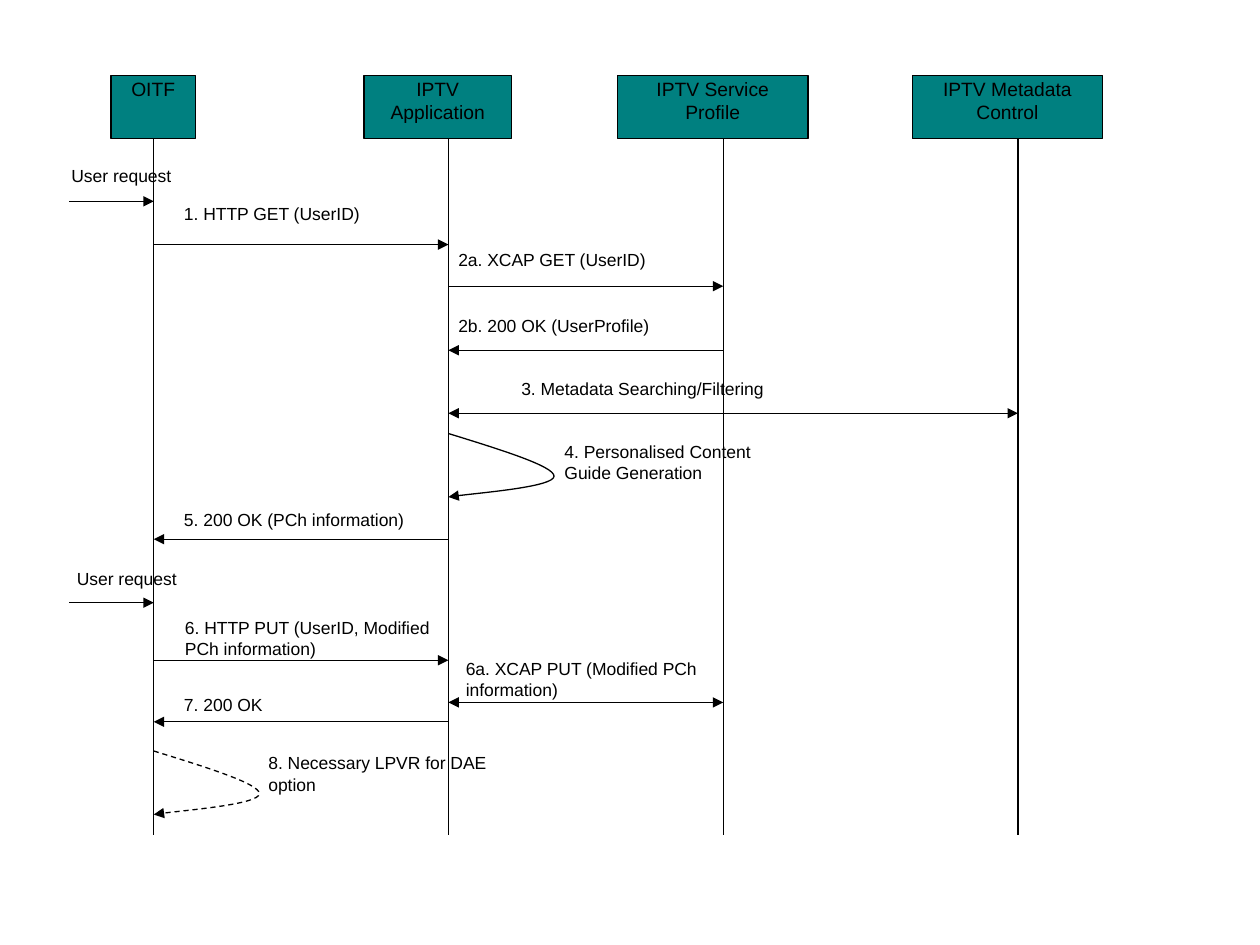
from dataclasses import dataclass

from lxml import etree
from pptx import Presentation
from pptx.dml.color import RGBColor
from pptx.enum.dml import MSO_LINE
from pptx.enum.shapes import MSO_CONNECTOR, MSO_SHAPE
from pptx.enum.text import MSO_ANCHOR, PP_ALIGN
from pptx.oxml.ns import qn
from pptx.util import Cm, Pt

STRAIGHT = MSO_CONNECTOR.STRAIGHT
RECTANGLE = MSO_SHAPE.RECTANGLE
DASH = MSO_LINE.DASH
TOP = MSO_ANCHOR.TOP
LEFT, CENTER = PP_ALIGN.LEFT, PP_ALIGN.CENTER


@dataclass(frozen=True)
class Theme:
    font: str = "Arial"
    ink: RGBColor = RGBColor(0x00, 0x00, 0x00)
    box_fill: RGBColor = RGBColor(0x00, 0x80, 0x80)
    box_size: Pt = Pt(11)
    label_size: Pt = Pt(10)
    line_width: Pt = Pt(0.75)


@dataclass(frozen=True)
class Participant:
    name: str
    left: float
    width: float
    axis: float


@dataclass(frozen=True)
class Label:
    text: str
    left: float
    top: float
    width: float
    height: float = 0.84


@dataclass(frozen=True)
class Message:
    start: float
    end: float
    y: float
    label: Label
    two_way: bool = False


@dataclass(frozen=True)
class SelfCall:
    axis: float
    y: float
    label: Label
    dashed: bool = False


THEME = Theme()

# Lengths in centimetres
BOX_TOP, BOX_HEIGHT, LIFELINE_END = 1.52, 1.27, 16.84
TWO_LINES = 1.27
USER, OITF, APPLICATION, PROFILE, METADATA = 1.4, 3.1, 9.04, 14.58, 20.52
# Two Bezier segments, as offsets from the start of a self call
LOOP = [(1.07, 0.33), (2.13, 0.66), (2.13, 0.86),
        (2.13, 1.07), (0.36, 1.22), (0, 1.28)]

PARTICIPANTS = [
    Participant("OITF", 2.24, 1.7, OITF),
    Participant("IPTV Application", 7.34, 2.97, APPLICATION),
    Participant("IPTV Service Profile", 12.45, 3.84, PROFILE),
    Participant("IPTV Metadata Control", 18.39, 3.84, METADATA),
]

MESSAGES = [
    Message(USER, OITF, 4.06, Label("User request", 1.24, 3.3, 2.97)),
    Message(OITF, APPLICATION, 4.93,
            Label("1. HTTP GET (UserID)", 3.51, 4.06, 5.11)),
    Message(APPLICATION, PROFILE, 5.77,
            Label("2a. XCAP GET (UserID)", 9.04, 5.0, 5.54)),
    Message(PROFILE, APPLICATION, 7.06,
            Label("2b. 200 OK (UserProfile)", 9.04, 6.32, 5.54)),
    Message(APPLICATION, METADATA, 8.33,
            Label("3. Metadata Searching/Filtering", 10.31, 7.59, 7.24), True),
    Message(APPLICATION, OITF, 10.87,
            Label("5. 200 OK (PCh information)", 3.51, 10.24, 5.11)),
    Message(USER, OITF, 12.15, Label("User request", 1.35, 11.43, 2.97)),
    Message(OITF, APPLICATION, 13.31,
            Label("6. HTTP PUT (UserID, Modified PCh information)",
                  3.53, 12.4, 5.94, TWO_LINES)),
    Message(APPLICATION, PROFILE, 14.16,
            Label("6a. XCAP PUT (Modified PCh information)",
                  9.19, 13.23, 5.11, TWO_LINES), True),
    Message(APPLICATION, OITF, 14.55, Label("7. 200 OK", 3.51, 13.97, 3.4)),
]

SELF_CALLS = [
    SelfCall(APPLICATION, 8.74,
             Label("4. Personalised Content Guide Generation",
                   11.18, 8.86, 5.11, TWO_LINES)),
    SelfCall(OITF, 15.14,
             Label("8. Necessary LPVR for DAE option",
                   5.21, 15.14, 5.11, TWO_LINES), dashed=True),
]


def write_text(shape, text: str, *, size: Pt, align=LEFT) -> None:
    frame = shape.text_frame
    frame.word_wrap = True
    frame.vertical_anchor = TOP
    frame.margin_left = frame.margin_right = Cm(0.2)
    frame.margin_top = frame.margin_bottom = Cm(0.03)
    paragraph = frame.paragraphs[0]
    paragraph.alignment = align
    run = paragraph.add_run()
    run.text = text
    run.font.name = THEME.font
    run.font.size = size
    run.font.color.rgb = THEME.ink


def style_line(line, *, dashed: bool = False, ends: tuple = ()) -> None:
    line.color.rgb = THEME.ink
    line.width = THEME.line_width
    if dashed:
        line.dash_style = DASH
    for end in ends:
        etree.SubElement(line._get_or_add_ln(), qn(f"a:{end}"), type="triangle")


def draw_line(slide, x1: float, y1: float, x2: float, y2: float,
              ends: tuple = ()) -> None:
    connector = slide.shapes.add_connector(
        STRAIGHT, Cm(x1), Cm(y1), Cm(x2), Cm(y2))
    style_line(connector.line, ends=ends)
    etree.SubElement(connector._element.spPr, qn("a:effectLst"))


def draw_label(slide, label: Label) -> None:
    box = slide.shapes.add_textbox(Cm(label.left), Cm(label.top),
                                   Cm(label.width), Cm(label.height))
    write_text(box, label.text, size=THEME.label_size)


def draw_participant(slide, participant: Participant) -> None:
    box = slide.shapes.add_shape(
        RECTANGLE, Cm(participant.left), Cm(BOX_TOP),
        Cm(participant.width), Cm(BOX_HEIGHT))
    box.shadow.inherit = False
    box.fill.solid()
    box.fill.fore_color.rgb = THEME.box_fill
    style_line(box.line)
    write_text(box, participant.name, size=THEME.box_size, align=CENTER)
    draw_line(slide, participant.axis, BOX_TOP + BOX_HEIGHT,
              participant.axis, LIFELINE_END)


def draw_message(slide, message: Message) -> None:
    ends = ("headEnd", "tailEnd") if message.two_way else ("tailEnd",)
    draw_line(slide, message.start, message.y, message.end, message.y, ends)
    draw_label(slide, message.label)


def draw_self_call(slide, call: SelfCall) -> None:
    builder = slide.shapes.build_freeform(Cm(call.axis), Cm(call.y))
    builder.add_line_segments(
        [(Cm(call.axis + dx), Cm(call.y + dy)) for dx, dy in LOOP], close=False)
    loop = builder.convert_to_shape()
    loop.shadow.inherit = False
    loop.fill.background()
    style_line(loop.line, dashed=call.dashed, ends=("tailEnd",))
    # Turn each three control points into one Bezier segment
    outline = next(loop._element.iter(qn("a:path")))
    segments = outline.findall(qn("a:lnTo"))
    for first in range(0, len(segments), 3):
        curve = etree.SubElement(outline, qn("a:cubicBezTo"))
        for segment in segments[first:first + 3]:
            curve.append(segment[0])
            outline.remove(segment)
    draw_label(slide, call.label)


def main() -> None:
    deck = Presentation()
    deck.slide_width, deck.slide_height = Cm(25.4), Cm(19.05)
    slide = deck.slides.add_slide(deck.slide_layouts[6])
    # Participants with their lifelines
    for participant in PARTICIPANTS:
        draw_participant(slide, participant)
    # Messages between participants
    for message in MESSAGES:
        draw_message(slide, message)
    # Steps a participant carries out itself
    for call in SELF_CALLS:
        draw_self_call(slide, call)
    deck.save("out.pptx")


if __name__ == "__main__":
    main()
